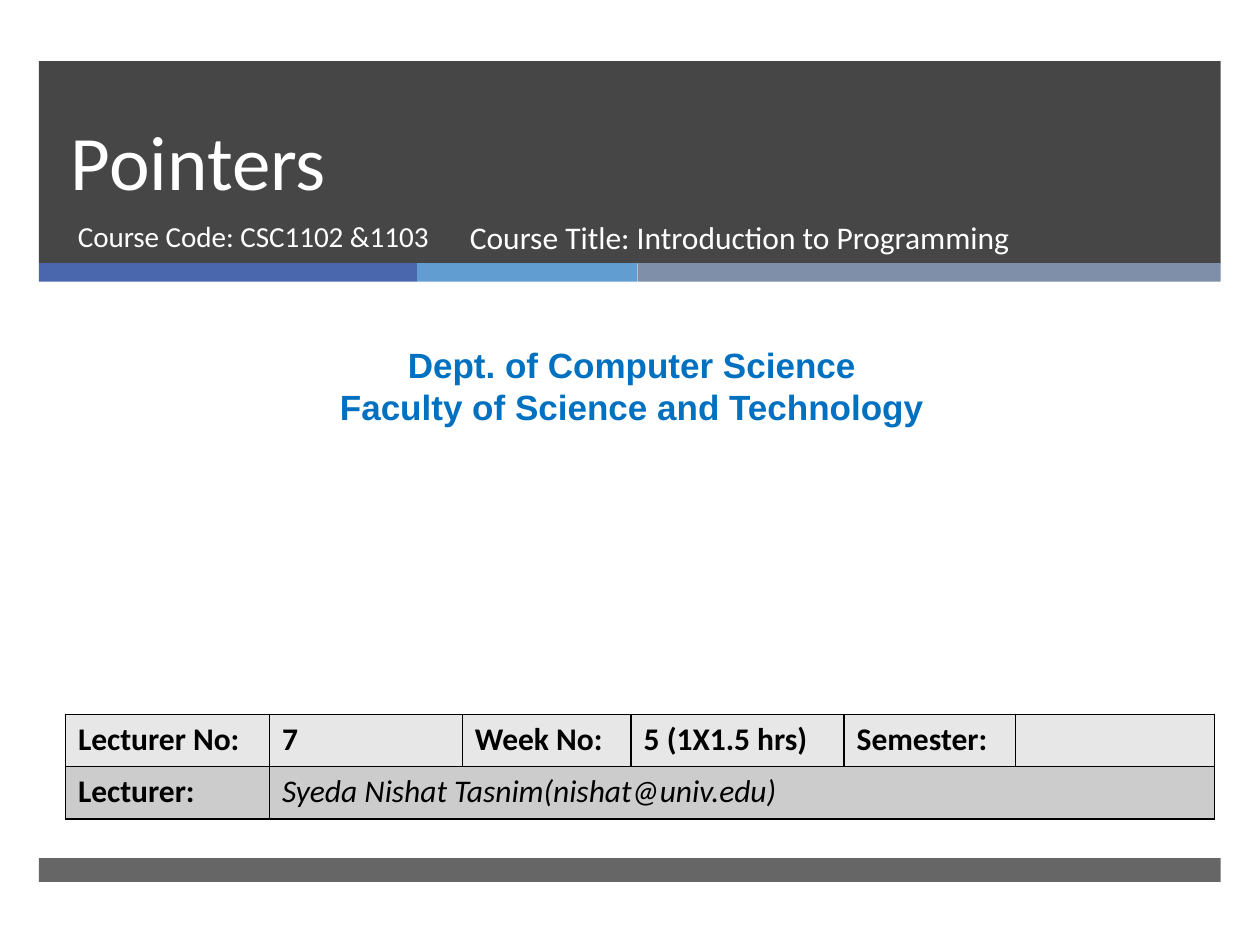
"""Build the title slide of the Pointers lecture."""
from typing import NamedTuple, Optional

import pptx
import pptx.dml.color
import pptx.enum.shapes
import pptx.enum.text
import pptx.oxml
import pptx.oxml.ns
import pptx.util

Pt = pptx.util.Pt
RGBColor = pptx.dml.color.RGBColor
ALIGN = pptx.enum.text.PP_ALIGN
ANCHOR = pptx.enum.text.MSO_ANCHOR

WHITE = RGBColor(0xFF, 0xFF, 0xFF)
BLACK = RGBColor(0x00, 0x00, 0x00)
CHARCOAL = RGBColor(0x26, 0x26, 0x26)
INDIGO = RGBColor(0x4A, 0x66, 0xAC)
SKY = RGBColor(0x62, 0x9D, 0xD1)
SLATE = RGBColor(0x7F, 0x8F, 0xA9)
DEPT_BLUE = RGBColor(0x00, 0x70, 0xC0)
LIGHT_GREY = RGBColor(0xE7, 0xE7, 0xE7)
MID_GREY = RGBColor(0xCC, 0xCC, 0xCC)

LEFT, WIDTH = 22.3, 675.2


class Bar(NamedTuple):
    left: float
    top: float
    width: float
    height: float
    color: RGBColor
    opacity: int = 100


class Label(NamedTuple):
    left: float
    top: float
    width: float
    height: float
    text: str
    size: float
    color: RGBColor = WHITE
    font: str = "Calibri"
    bold: bool = False
    align: ALIGN = ALIGN.LEFT
    anchor: ANCHOR = ANCHOR.TOP
    line: Optional[float] = None


BARS = [
    Bar(LEFT, 35, WIDTH, 115.6, CHARCOAL, 85),
    Bar(LEFT, 150.4, 216, 10.6, INDIGO),
    Bar(LEFT + 216, 150.4, 126, 10.6, SKY),
    Bar(LEFT + 342, 150.4, WIDTH - 342, 10.6, SLATE),
    Bar(LEFT, 490.3, WIDTH, 13.7, CHARCOAL, 70),
]
LABELS = [
    Label(33.4, 35.3, 615, 85.7, "Pointers", 44, anchor=ANCHOR.BOTTOM, line=46),
    Label(37.4, 121, 231, 38, "Course Code: CSC1102 &1103", 16.6),
    Label(261.4, 121, 327.6, 38, "Course Title: Introduction to Programming", 18),
    Label(5.8, 193, 710.6, 55.4,
          "Dept. of Computer Science\nFaculty of Science and Technology",
          20, DEPT_BLUE, "Arial", True, ALIGN.CENTER),
]
COLUMNS = [116.6, 110.2, 96.5, 121.7, 97.9, 113.8]
ROW_HEIGHT = 29.9
ROWS = [
    (LIGHT_GREY, ["Lecturer No:", "7", "Week No:", "5 (1X1.5 hrs)", "Semester:", ""]),
    (MID_GREY, ["Lecturer:", "Syeda Nishat Tasnim(nishat@univ.edu)", "", "", "", ""]),
]


def format_text(tf, size: float, font: str, color: RGBColor,
                bold: bool = False, italic: bool = False) -> None:
    """Apply one font to every run."""
    for p in tf.paragraphs:
        for r in p.runs:
            r.font.size = Pt(size)
            r.font.name = font
            r.font.color.rgb = color
            r.font.bold = bold
            r.font.italic = italic


def add_bar(s, bar: Bar) -> None:
    """Draw a borderless rectangle."""
    sp = s.shapes.add_shape(pptx.enum.shapes.MSO_SHAPE.RECTANGLE,
                            *map(Pt, (bar.left, bar.top, bar.width, bar.height)))
    sp.shadow.inherit = False
    sp.line.fill.background()
    sp.fill.solid()
    sp.fill.fore_color.rgb = bar.color
    if bar.opacity < 100:
        clr = sp.fill._xPr.find(".//" + pptx.oxml.ns.qn("a:srgbClr"))
        clr.append(pptx.oxml.parse_xml(
            f'<a:alpha {pptx.oxml.ns.nsdecls("a")} val="{bar.opacity * 1000}"/>'))


def add_label(s, label: Label) -> None:
    """Draw a text box."""
    sp = s.shapes.add_textbox(
        *map(Pt, (label.left, label.top, label.width, label.height)))
    tf = sp.text_frame
    tf.word_wrap = True
    tf.vertical_anchor = label.anchor
    tf.text = label.text
    for p in tf.paragraphs:
        p.alignment = label.align
        if label.line:
            p.line_spacing = Pt(label.line)
    format_text(tf, label.size, label.font, label.color, label.bold)


def add_borders(cell) -> None:
    """Give a cell a thin black line on each side."""
    tc_pr = cell._tc.get_or_add_tcPr()
    for side in "LRTB":
        tc_pr.append(pptx.oxml.parse_xml(
            f'<a:ln{side} {pptx.oxml.ns.nsdecls("a")} w="{Pt(1)}"><a:solidFill>'
            f'<a:srgbClr val="{BLACK}"/></a:solidFill></a:ln{side}>'))


def add_details(s) -> None:
    """Draw the table of lecture details."""
    frame = s.shapes.add_table(len(ROWS), len(COLUMNS), Pt(37.4), Pt(408.2),
                               Pt(sum(COLUMNS)), Pt(ROW_HEIGHT * len(ROWS)))
    table = frame.table
    table.first_row = table.horz_banding = False
    for column, width in zip(table.columns, COLUMNS):
        column.width = Pt(width)
    for i, (color, texts) in enumerate(ROWS):
        table.rows[i].height = Pt(ROW_HEIGHT)
        for j, text in enumerate(texts):
            cell = table.cell(i, j)
            add_borders(cell)
            cell.fill.solid()
            cell.fill.fore_color.rgb = color
            cell.text_frame.text = text
            is_name = (i, j) == (1, 1)
            format_text(cell.text_frame, 18, "Calibri", BLACK, not is_name, is_name)
    table.cell(1, 1).merge(table.cell(1, len(COLUMNS) - 1))


def main() -> None:
    """Build and save the slide."""
    prs = pptx.Presentation()
    prs.slide_width, prs.slide_height = Pt(720), Pt(540)
    s = prs.slides.add_slide(prs.slide_layouts[6])
    for bar in BARS:
        add_bar(s, bar)
    for label in LABELS:
        add_label(s, label)
    add_details(s)
    prs.save("out.pptx")


if __name__ == "__main__":
    main()
